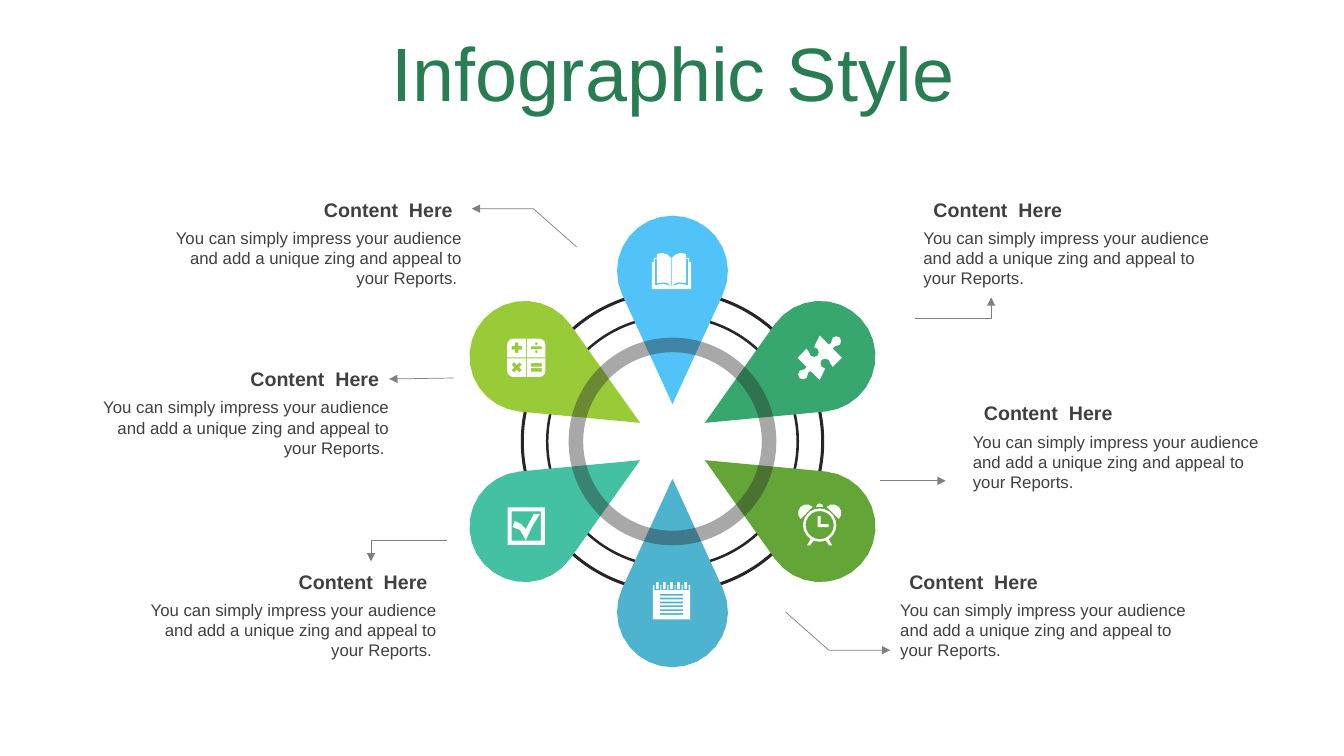
import math

import pptx
import pptx.dml.color
import pptx.enum.shapes
import pptx.enum.text
import pptx.oxml
import pptx.oxml.ns
import pptx.util

Inches = pptx.util.Inches
ALIGN = pptx.enum.text.PP_ALIGN
ANCHOR = pptx.enum.text.MSO_ANCHOR

# Content
TITLE = "Infographic Style"
HEADING = "Content  Here"
BODY = "You can simply impress your audience and add a unique zing and appeal to your Reports."

# Heading left and top, body left and top, whether right-aligned
LABELS = [
    (1.63, 1.91, 1.63, 2.21, True),
    (0.90, 3.59, 0.91, 3.89, True),
    (1.38, 5.61, 1.38, 5.90, True),
    (8.92, 5.61, 8.83, 5.90, False),
    (9.66, 3.93, 9.55, 4.23, False),
    (9.16, 1.91, 9.06, 2.21, False),
]
LEADERS = [
    [(5.72, 2.45), (5.29, 2.07), (4.68, 2.07)],
    [(4.43, 5.36), (3.68, 5.36), (3.68, 5.57)],
    [(4.50, 3.75), (3.86, 3.76)],
    [(7.79, 6.07), (8.22, 6.45), (8.83, 6.45)],
    [(9.08, 3.16), (9.83, 3.16), (9.83, 2.95)],
    [(8.73, 4.77), (9.38, 4.77)],
]
# Clockwise from the top: fill, icon name, icon centre
PETALS = [
    ("51C3F9", "book", (6.66, 2.69)),
    ("37A76F", "puzzle", (8.13, 3.55)),
    ("63A537", "clock", (8.13, 5.21)),
    ("4EB3CF", "notepad", (6.66, 5.96)),
    ("44C1A3", "check", (5.22, 5.22)),
    ("99CB38", "calculator", (5.22, 3.55)),
]
THEME = {
    "font": "Arial", "title": "297D53", "text": "404040", "ring": "262626",
    "leader": "808080", "icon": "FFFFFF",
    "title_size": 54, "heading_size": 14, "body_size": 12,
}
HUB = (6.67, 4.38)
PETAL_DISTANCE, PETAL_RADIUS, TIP_DISTANCE = 1.69, 0.55, 0.37


# Outline geometry
def arc(x, y, radius, start, end, steps):
    angles = [math.radians(start + (end - start) * i / steps) for i in range(steps + 1)]
    return [(x + radius * math.cos(a), y + radius * math.sin(a)) for a in angles]


def circle(x, y, radius, sides):
    return arc(x, y, radius, 0, 360, sides)[:-1]


def box(x, y, half_width, half_height):
    return [(x - half_width, y - half_height), (x + half_width, y - half_height),
            (x + half_width, y + half_height), (x - half_width, y + half_height)]


def turn(points, degrees):
    c, s = math.cos(math.radians(degrees)), math.sin(math.radians(degrees))
    return [(x * c - y * s, x * s + y * c) for x, y in points]


def cross(x, y, arm, half, degrees=0):
    side = [(-half, -arm), (half, -arm), (half, -half)]
    points = [p for quarter in range(4) for p in turn(side, degrees + 90 * quarter)]
    return [(x + px, y + py) for px, py in points]


def mirror(points):
    return [(-x, y) for x, y in reversed(points)]


def both(points):
    return [points, mirror(points)]


# Icons as contours in hundredths of an inch around their centre
BOOK_LEFT = [(-19.5, 18), (-19.5, -9), (-17.5, -9), (-17.5, -13), (-14.5, -13),
             (-14.5, -17), (-9, -18), (-4, -16.5), (-0.5, -13)]
BOOK_PAGE_EDGE = [(-14.5, -12), (-16.5, -12), (-16.5, 14), (-8, 12.5), (-0.5, 15),
                  (-4, 12), (-7.4, 11.2), (-14.5, 12)]
PUZZLE_HALF = [(0, -22), (9, -13), (11.2, -14.5), (13, -20), (16.5, -21.3), (20, -20),
               (21.3, -16.5), (20, -13), (14.5, -11.2), (13, -9), (22, 0), (13, 9),
               (10.6, 5.5), (9, 2), (5.5, 0.8), (2, 2), (0.8, 5.5), (2, 9), (5.5, 10.6)]
CLOCK_HANDS = [(-2, -9), (1, -9), (1, -1), (9, -1), (9, 2), (-2, 2)]
CLOCK_LEG = [(9, 14), (12.5, 20), (9.5, 20), (6, 15.5)]
CHECK_MARK = [(-13.5, 1), (-11.5, -5), (-5, -2), (-0.5, 3), (7.5, -12), (13.5, -12),
              (6, 0), (-0.5, 14), (-6, 4)]
BINDING = range(-14, 15, 7)
CALCULATOR_BODY = [point for quarter in range(4)
                   for point in turn(arc(13, 13, 6, 0, 90, 3), 90 * quarter)]
ICONS = {
    "book": [BOOK_LEFT + mirror(BOOK_LEFT), box(0, 1, 0.4, 13.8), *both(BOOK_PAGE_EDGE)],
    "puzzle": [PUZZLE_HALF + turn(PUZZLE_HALF, 180)],
    "clock": [circle(0, 0, 16.5, 20), circle(0, 0, 14, 20), CLOCK_HANDS,
              arc(0, -18, 3.5, 180, 360, 4),
              *both(CLOCK_LEG), *both(arc(-13, -12, 8.5, 135, 315, 6))],
    "notepad": [box(0, 1.5, 18.5, 17), *[box(x, -13, 3, 2.5) for x in BINDING],
                *[box(x, -15, 1.3, 3.5) for x in BINDING],
                *[box(0, -6 + 3.85 * i, 11.5, 0.9) for i in range(6)]],
    "check": [box(0, 0, 18.5, 18.5), box(0, 0, 14.5, 14.5), CHECK_MARK],
    "calculator": [CALCULATOR_BODY, cross(0, 0, 19, 0.5), cross(-9.5, -10, 5, 1.8),
                   cross(-9.5, 9.5, 5.5, 1.8, 45), box(10, -10, 5.5, 1.3),
                   circle(10, -14, 1.5, 6), circle(10, -6, 1.5, 6),
                   box(10, 7, 5.5, 1.8), box(10, 12, 5.5, 1.8)],
}

presentation = pptx.Presentation()
presentation.slide_width, presentation.slide_height = Inches(13.33), Inches(7.5)
slide = presentation.slides.add_slide(presentation.slide_layouts[6])


# Drawing helpers
def color(name):
    return pptx.dml.color.RGBColor.from_string(THEME.get(name, name))


def fill_shape(shape, name):
    shape.shadow.inherit = False
    shape.fill.solid()
    shape.fill.fore_color.rgb = color(name)
    shape.line.fill.background()


def add_outline(contours, closed=True):
    contours = [[(Inches(x), Inches(y)) for x, y in points] for points in contours]
    builder = slide.shapes.build_freeform(*contours[0][0])
    builder.add_line_segments(contours[0][1:], close=closed)
    for points in contours[1:]:
        builder.move_to(*points[0])
        builder.add_line_segments(points[1:], close=closed)
    return builder.convert_to_shape()


def add_ring(diameter, thickness):
    left, top = HUB[0] - diameter / 2, HUB[1] - diameter / 2
    ring = slide.shapes.add_shape(pptx.enum.shapes.MSO_SHAPE.DONUT, Inches(left), Inches(top),
                                  Inches(diameter), Inches(diameter))
    ring.adjustments[0] = thickness
    fill_shape(ring, "ring")
    return ring


def add_text(text, left, top, width, height, size, name, align, bold=False):
    text_box = slide.shapes.add_textbox(Inches(left), Inches(top), Inches(width), Inches(height))
    text_frame = text_box.text_frame
    text_frame.word_wrap = True
    text_frame.text = text
    paragraph = text_frame.paragraphs[0]
    paragraph.alignment = align
    font = paragraph.runs[0].font
    font.name, font.size, font.bold = THEME["font"], pptx.util.Pt(THEME[size]), bold
    font.color.rgb = color(name)
    return text_frame


# Title
title_frame = add_text(TITLE, 0.35, 0.37, 12.66, 0.79, "title_size", "title", ALIGN.CENTER)
title_frame.vertical_anchor = ANCHOR.MIDDLE
title_frame.paragraphs[0].line_spacing = 0.9

# Thin rings behind the petals
for ring_diameter in (3.01, 2.51):
    add_ring(ring_diameter, 0.01)

# Petals: a circle joined to its tip by two tangents
tangent = math.degrees(math.acos(PETAL_RADIUS / (PETAL_DISTANCE - TIP_DISTANCE)))
petal = arc(0, -PETAL_DISTANCE, PETAL_RADIUS, 90 + tangent, 450 - tangent, 18)
petal.append((0, -TIP_DISTANCE))
for index, (petal_color, icon_name, (icon_x, icon_y)) in enumerate(PETALS):
    outline = [(HUB[0] + x, HUB[1] + y) for x, y in turn(petal, 60 * index)]
    fill_shape(add_outline([outline]), petal_color)
    icon = [[(icon_x + x / 100, icon_y + y / 100) for x, y in points]
            for points in ICONS[icon_name]]
    fill_shape(add_outline(icon), "icon")

# Translucent ring over the petals
front_ring = add_ring(2.06, 0.07)
ring_color = front_ring.element.spPr.find(".//" + pptx.oxml.ns.qn("a:srgbClr"))
ring_color.append(pptx.oxml.parse_xml(f'<a:alpha {pptx.oxml.ns.nsdecls("a")} val="40000"/>'))

# Labels
for heading_left, heading_top, body_left, body_top, right in LABELS:
    label_align = ALIGN.RIGHT if right else ALIGN.LEFT
    add_text(HEADING, heading_left, heading_top, 2.96, 0.34, "heading_size", "text",
             label_align, True)
    add_text(BODY + " " if right else BODY, body_left, body_top, 3.05, 0.71, "body_size", "text",
             label_align)

# Leader arrows
for points in LEADERS:
    if len(points) == 2:
        ends = [Inches(value) for point in points for value in point]
        leader = slide.shapes.add_connector(pptx.enum.shapes.MSO_CONNECTOR.STRAIGHT, *ends)
    else:
        leader = add_outline([points], closed=False)
        leader.fill.background()
    leader.line.color.rgb = color("leader")
    leader.line.width = pptx.util.Pt(0.5)
    properties = leader.element.spPr
    properties.find(pptx.oxml.ns.qn("a:ln")).append(
        pptx.oxml.parse_xml(f'<a:tailEnd {pptx.oxml.ns.nsdecls("a")} type="triangle"/>'))
    properties.append(pptx.oxml.parse_xml(f'<a:effectLst {pptx.oxml.ns.nsdecls("a")}/>'))

presentation.save("out.pptx")
